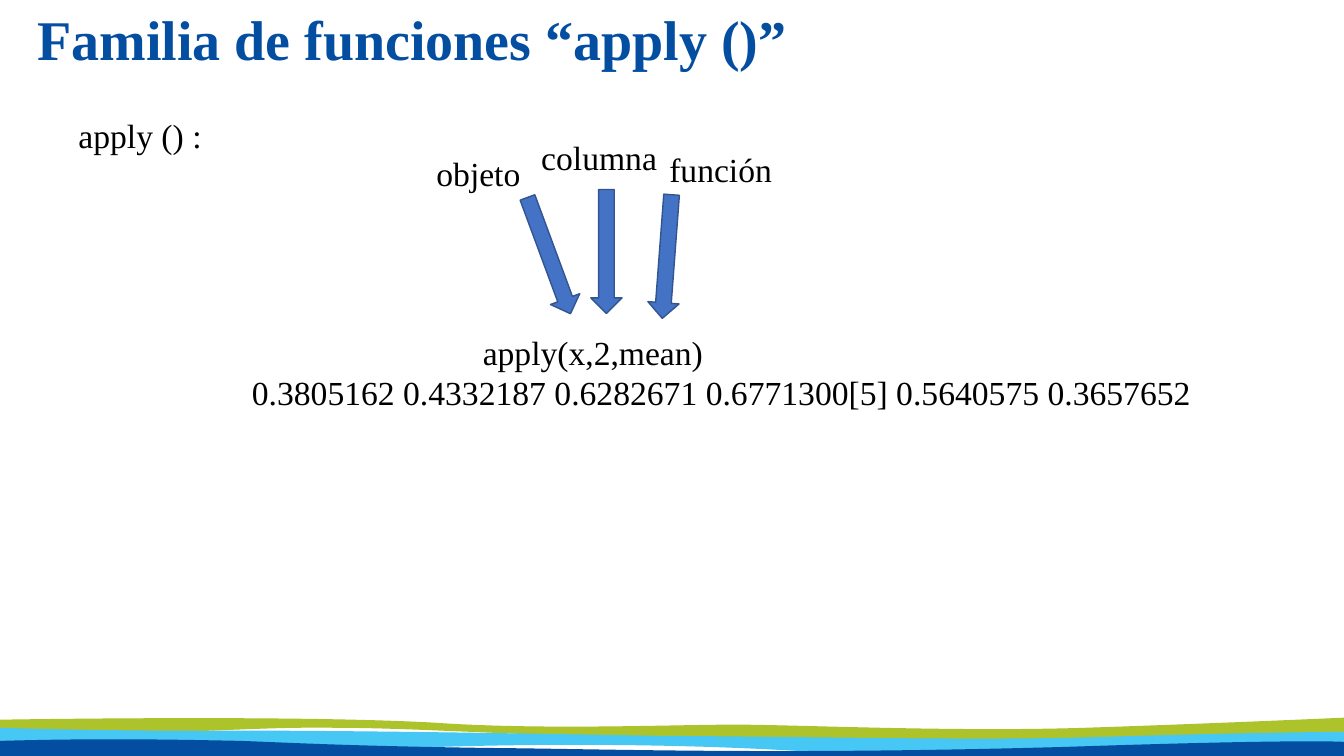
import pptx
import pptx.util
import pptx.dml.color
import pptx.enum.shapes
import pptx.enum.text
import pptx.oxml.ns
import lxml.etree

Inches = pptx.util.Inches
Pt = pptx.util.Pt
ALIGN = pptx.enum.text.PP_ALIGN
ANCHOR = pptx.enum.text.MSO_ANCHOR

COLORS = {
    "green": "ACC32B",
    "sky": "46C7F4",
    "navy": "034EA1",
    "arrow": "4472C4",
    "edge": "325491",
    "black": "000000",
}

WAVES = [
    ("green", (0, 7.14), [
        (0, 7.14, 2.91, 7.09, 4.31, 7.17),
        (5.48, 7.25, 6.85, 7.18, 7.43, 7.19),
        (8.14, 7.2, 9.55, 7.26, 10.77, 7.22),
        (11.99, 7.18, 13.33, 7.12, 13.33, 7.12),
        (13.33, 7.31),
        (13.33, 7.31, 11.05, 7.36, 9.51, 7.35),
        (5.31, 7.35, 4.5, 7.22, 3.26, 7.22),
        (2.34, 7.21, 1.74, 7.31, 0, 7.26),
    ]),
    ("sky", (0, 7.22), [
        (0, 7.22, 0.85, 7.25, 2.08, 7.25),
        (3.27, 7.24, 5.95, 7.29, 6.53, 7.3),
        (8.19, 7.31, 9.76, 7.35, 10.98, 7.31),
        (12.2, 7.27, 13.33, 7.26, 13.33, 7.26),
        (13.33, 7.42),
        (13.33, 7.42, 9.71, 7.56, 7.91, 7.45),
        (6.4, 7.36, 4.63, 7.38, 3.45, 7.45),
        (2.55, 7.51, 1.76, 7.36, 0, 7.41),
    ]),
    ("navy", (0, 7.35), [
        (0, 7.54),
        (13.33, 7.54),
        (13.33, 7.36),
        (13.33, 7.36, 12.95, 7.33, 10.56, 7.41),
        (7.7, 7.49, 6.03, 7.43, 4.84, 7.42),
        (3.45, 7.4, 2.92, 7.37, 2.39, 7.35),
        (1.86, 7.34, 1.04, 7.32, 0, 7.35),
    ]),
]

ARROWS = [((4.83, 2.38), 249.7), ((5.4, 2.34), 270), ((6, 2.39), 274.3)]

LABELS = [
    ("función", (6.54, 1.43, 2, 0.5)),
    ("columna", (5.27, 1.31, 1.37, 0.5)),
    ("objeto", (4.23, 1.47, 1.22, 0.5)),
]


def tint(name):
    return pptx.dml.color.RGBColor.from_string(COLORS[name])


def paint(shape, fill, edge=None):
    shape.shadow.inherit = False
    shape.fill.solid()
    shape.fill.fore_color.rgb = tint(fill)
    if edge:
        shape.line.color.rgb = tint(edge)
        shape.line.width = Pt(1)
    else:
        shape.line.fill.background()


def bend(shape, parts):
    qn = pptx.oxml.ns.qn
    lines = iter(list(shape._element.iter(qn("a:lnTo"))))
    for part in parts:
        group = [next(lines) for _ in range(len(part) // 2)]
        if len(group) == 3:
            cubic = lxml.etree.Element(qn("a:cubicBezTo"))
            group[0].addprevious(cubic)
            for line in group:
                cubic.append(line[0])
                line.getparent().remove(line)


def wave(slide, color, start, parts):
    spots = [(Inches(x), Inches(y))
             for part in parts for x, y in zip(part[::2], part[1::2])]
    form = slide.shapes.build_freeform(*map(Inches, start))
    form.add_line_segments(spots, close=True)
    shape = form.convert_to_shape()
    bend(shape, parts)
    paint(shape, color)


def write(frame, text, size=24, color="black", bold=False, align=ALIGN.LEFT,
          anchor=ANCHOR.TOP, space=None, indents=()):
    frame.word_wrap = True
    frame.auto_size = pptx.enum.text.MSO_AUTO_SIZE.NONE
    frame.vertical_anchor = anchor
    frame.text = text
    for para in frame.paragraphs:
        para.alignment = align
        para.line_spacing = space
        para.font.name = "Times New Roman"
        para.font.size = Pt(size)
        para.font.bold = bold
        para.font.color.rgb = tint(color)
    for para, indent in zip(frame.paragraphs, indents):
        para._p.get_or_add_pPr().set("marL", str(Inches(indent)))


def label(slide, text, place, **style):
    box = slide.shapes.add_textbox(*map(Inches, place))
    write(box.text_frame, text, **style)


def arrow(slide, left, top, angle):
    kind = pptx.enum.shapes.MSO_SHAPE.LEFT_ARROW
    shape = slide.shapes.add_shape(
        kind, Inches(left), Inches(top), Inches(1.23), Inches(0.31))
    shape.rotation = angle
    paint(shape, "arrow", "edge")


def head(slide, text):
    title = slide.shapes.title
    title.left, title.top = Inches(0.37), Inches(0.12)
    title.width, title.height = Inches(12.6), Inches(0.61)
    frame = title.text_frame
    frame.margin_left = frame.margin_right = 0
    frame.margin_top = frame.margin_bottom = 0
    write(frame, text, size=40, color="navy", bold=True,
          anchor=ANCHOR.MIDDLE, space=0.9)


def main():
    deck = pptx.Presentation()
    deck.slide_width, deck.slide_height = Inches(13.33), Inches(7.5)
    slide = deck.slides.add_slide(deck.slide_layouts[5])
    for color, start, parts in WAVES:
        wave(slide, color, start, parts)
    head(slide, "Familia de funciones “apply ()”")
    label(slide, "apply () :", (0.68, 1.09, 11.62, 0.5), align=ALIGN.JUSTIFY)
    for spot, angle in ARROWS:
        arrow(slide, *spot, angle)
    for text, place in LABELS:
        label(slide, text, place)
    label(slide,
          "apply(x,2,mean)\n"
          "0.3805162 0.4332187 0.6282671 0.6771300[5] 0.5640575 0.3657652",
          (2.32, 3.24, 9.87, 0.91), indents=(2.37, 0.08))
    deck.save("out.pptx")


if __name__ == "__main__":
    main()
